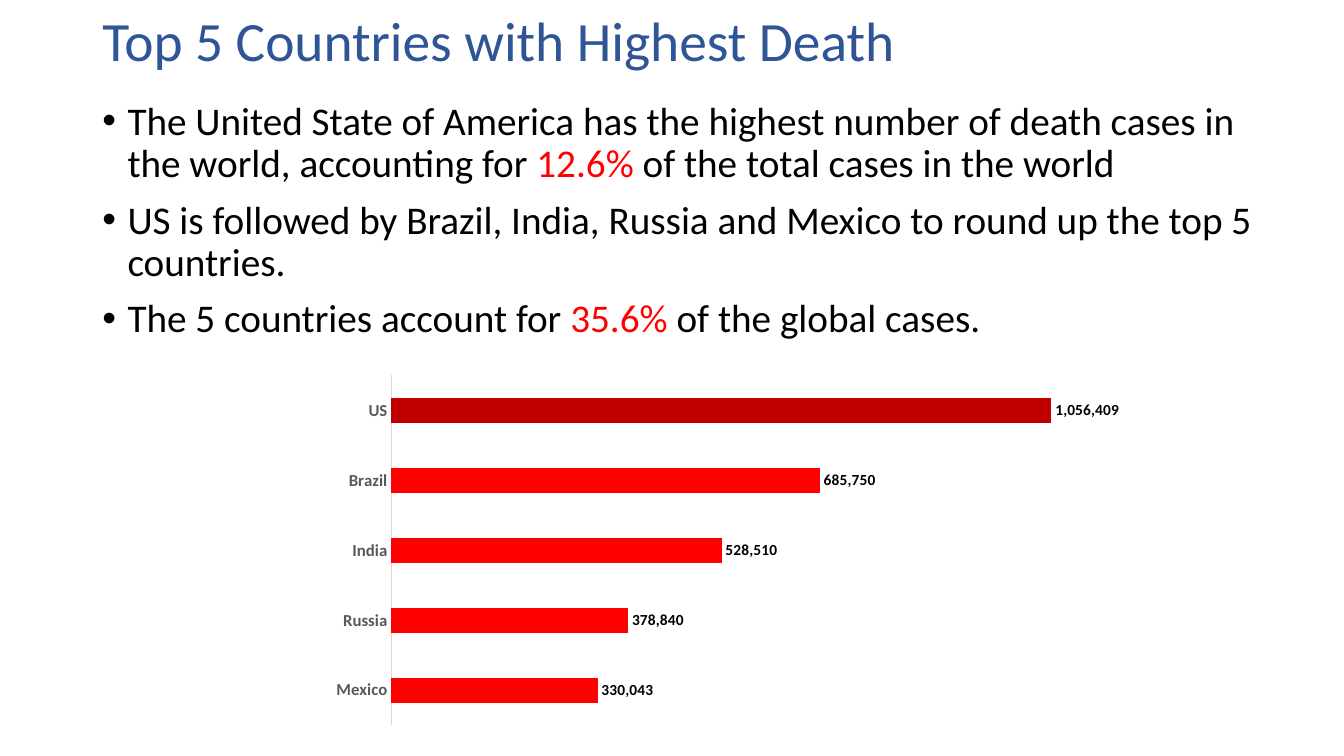
from lxml.etree import SubElement
from pptx import Presentation
from pptx.chart.data import CategoryChartData
from pptx.dml.color import RGBColor
from pptx.enum.chart import XL_CHART_TYPE as Chart, XL_LABEL_POSITION as LabelPos, XL_TICK_MARK as Tick
from pptx.enum.text import MSO_ANCHOR as Anchor
from pptx.oxml import parse_xml
from pptx.oxml.ns import nsdecls, qn
from pptx.util import Pt

BLUE = RGBColor(0x2F, 0x55, 0x97)
BLACK = RGBColor(0, 0, 0)
RED = RGBColor(0xFF, 0, 0)
DARK_RED = RGBColor(0xC0, 0, 0)
GREY = RGBColor(0x59, 0x59, 0x59)
LIGHT_GREY = RGBColor(0xD9, 0xD9, 0xD9)

BULLETS = [
    [("The United State of America has the highest number of death cases in the world, accounting for ", BLACK),
     ("12.6%", RED), (" of the total cases in the world", BLACK)],
    [("US is followed by Brazil, India, Russia and Mexico to round up the top 5 countries.", BLACK)],
    [("The 5 countries account for ", BLACK), ("35.6%", RED), (" of the global cases.", BLACK)],
]
DEATHS = {"Mexico": 330043, "Russia": 378840, "India": 528510, "Brazil": 685750, "US": 1056409}


class Deck:
    """Holds the style and the current slide."""

    font = "Calibri"
    indent = Pt(18)

    def __init__(self):
        self.prs = Presentation()
        self.prs.slide_width, self.prs.slide_height = Pt(960), Pt(540)
        self.s = self.prs.slides.add_slide(self.prs.slide_layouts[6])

    def style(self, font, size, color, bold=False):
        font.name, font.size, font.bold = self.font, Pt(size), bold
        font.color.rgb = color

    def text(self, box, paragraphs, size, anchor=Anchor.TOP, bullets=False):
        tf = self.s.shapes.add_textbox(*map(Pt, box)).text_frame
        tf.word_wrap, tf.vertical_anchor = True, anchor
        for i, runs in enumerate(paragraphs):
            p = tf.add_paragraph() if i else tf.paragraphs[0]
            p.line_spacing = 0.9
            p.space_before = Pt(10 if i else 0)
            if bullets:
                pPr = p._p.get_or_add_pPr()
                pPr.set("marL", str(self.indent))
                pPr.set("indent", str(-self.indent))
                SubElement(pPr, qn("a:buFont")).set("typeface", "Arial")
                SubElement(pPr, qn("a:buChar")).set("char", "•")
            for words, color in runs:
                r = p.add_run()
                r.text = words
                self.style(r.font, size, color)

    def bar_chart(self, box, values, plot, top):
        data = CategoryChartData(number_format="#,##0")
        data.categories = list(values)
        data.add_series("Deaths", list(values.values()))
        chart = self.s.shapes.add_chart(Chart.BAR_CLUSTERED, *map(Pt, box), data).chart
        chart.has_legend = chart.has_title = False
        self.style(chart.font, 10, BLACK)

        cat, val = chart.category_axis, chart.value_axis
        cat.major_tick_mark = cat.minor_tick_mark = Tick.NONE
        cat.has_major_gridlines = val.has_major_gridlines = False
        cat.format.line.color.rgb = LIGHT_GREY
        cat.format.line.width = Pt(0.75)
        self.style(cat.tick_labels.font, 12, GREY, True)
        val.visible = False
        val.minimum_scale, val.maximum_scale = 0, top

        bars = chart.plots[0]
        bars.gap_width, bars.vary_by_categories = 182, False
        ser = bars.series[0]
        leader = list(values.values()).index(max(values.values()))
        for part, color in ((ser, RED), (ser.points[leader], DARK_RED)):
            part.format.fill.solid()
            part.format.fill.fore_color.rgb = color
        labels = ser.data_labels
        labels.show_value, labels.position = True, LabelPos.OUTSIDE_END
        labels.number_format, labels.number_format_is_linked = "#,##0", False
        self.style(labels.font, 11, BLACK, True)
        self.place_plot(chart, plot)

    def place_plot(self, chart, plot):
        area = chart.element.find(".//" + qn("c:plotArea"))
        for old in area.findall(qn("c:layout")):
            area.remove(old)
        sizes = "".join(f'<c:{k} val="{v}"/>' for k, v in zip("xywh", plot))
        area.insert(0, parse_xml(
            f'<c:layout {nsdecls("c")}><c:manualLayout><c:layoutTarget val="inner"/>'
            f'<c:xMode val="edge"/><c:yMode val="edge"/>{sizes}</c:manualLayout></c:layout>'))


def main():
    deck = Deck()
    deck.text((66, 8.5, 828, 45), [[("Top 5 Countries with Highest Death", BLUE)]], 39.6, Anchor.MIDDLE)
    deck.text((66, 69, 841, 461.5), BULLETS, 28, bullets=True)
    deck.bar_chart((126, 255, 749, 276), DEATHS, (0.205, 0.048, 0.715, 0.905), 1200000)
    deck.prs.save("out.pptx")


if __name__ == "__main__":
    main()
